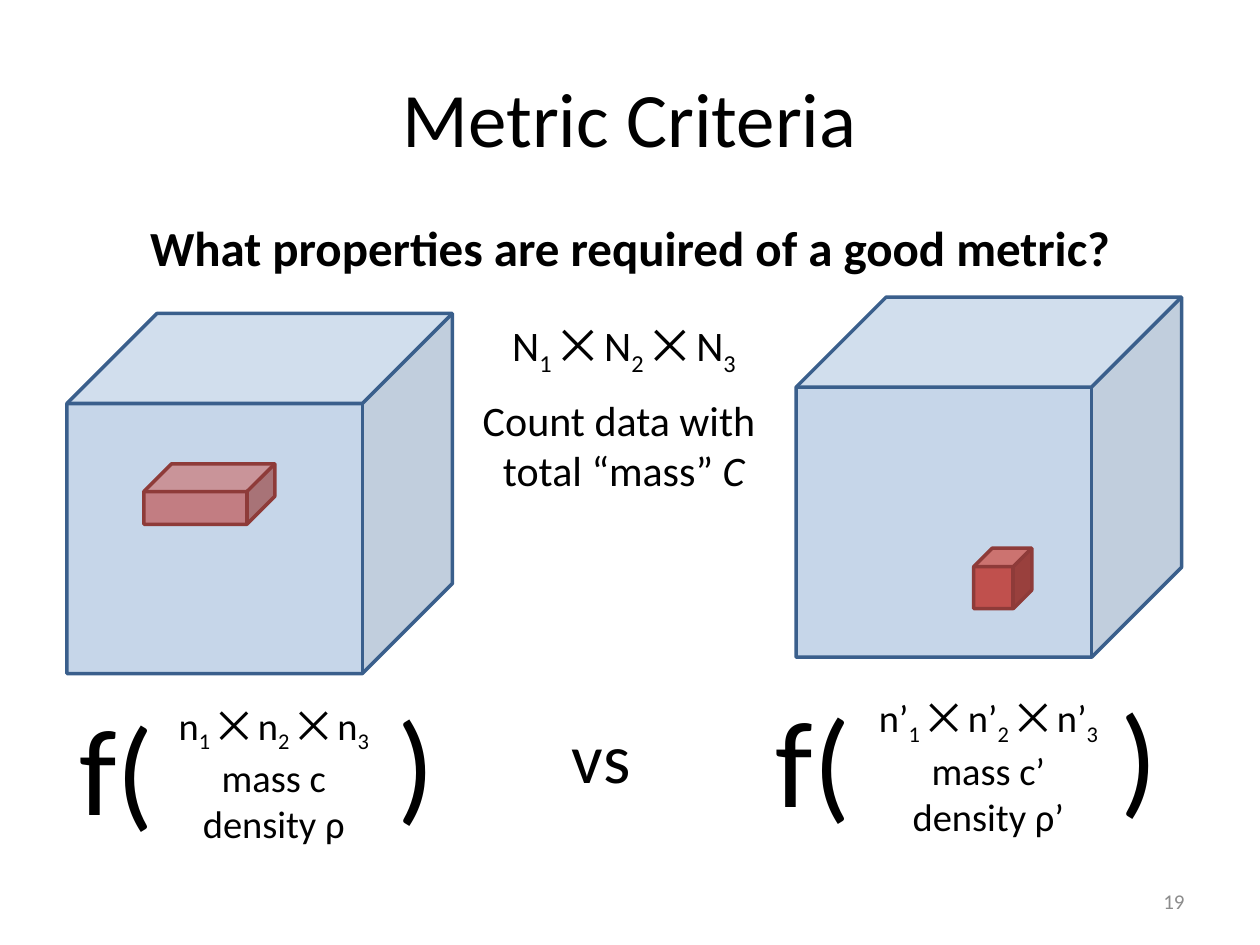
"""Build the Metric Criteria slide: two data cubes and their compared scores."""
from dataclasses import dataclass

from lxml.etree import SubElement
from pptx import Presentation
from pptx.dml.color import RGBColor
from pptx.enum.shapes import MSO_SHAPE as Kind
from pptx.enum.text import MSO_ANCHOR as Anchor, MSO_AUTO_SIZE as Fit, PP_ALIGN as Align
from pptx.oxml.ns import qn
from pptx.util import Cm, Pt

FONT = "Calibri"
INK = {
    "text": "000000",
    "page": "8C8C8C",
    "blue": "4F81BD",
    "navy": "3A5F8C",
    "red": "C0504D",
    "wine": "8E3B39",
}


@dataclass
class Cube:
    box: tuple
    fill: str
    edge: str
    alpha: int = 100
    depth: float = 0.25


@dataclass
class Label:
    box: tuple
    lines: tuple
    size: int
    align: Align = Align.CENTER
    wrap: bool = True
    bold: bool = False
    ink: str = "text"
    anchor: Anchor = Anchor.TOP
    tail: str = ""
    fit: Fit = Fit.SHAPE_TO_FIT_TEXT


CUBES = [
    Cube((1.35, 6.32, 7.77, 7.26), "blue", "navy", 32),
    Cube((16.05, 5.99, 7.77, 7.26), "blue", "navy", 32),
    Cube((2.9, 9.35, 2.64, 1.22), "red", "wine", 66, 0.46),
    Cube((19.63, 11.05, 1.17, 1.22), "red", "wine", depth=0.32),
]


def score(mark: str, open_at: tuple, mid: tuple, close_at: tuple) -> list:
    """Return the labels of one f( ... ) score."""
    dims = " ⨉ ".join(f"n{mark}_{i}" for i in (1, 2, 3))
    lines = (dims, f"mass c{mark}", f"density ρ{mark}")
    return [
        Label(mid, lines, 22, wrap=False),
        Label((*open_at, 2.03, 3.25), ("f(",), 70, Align.LEFT, False),
        Label((*close_at, 1.27, 3.25), (")",), 70, Align.LEFT, False),
    ]


LABELS = [
    Label((18.21, 17.65, 5.92, 1.02), ("19",), 12, Align.RIGHT, ink="page",
          anchor=Anchor.MIDDLE, fit=Fit.NONE),
    Label((1.27, 4.27, 22.86, 1.8), ("What properties are required of a good metric?",),
          28, bold=True, fit=Fit.NONE),
    Label((9.53, 6.32, 6.1, 1.27), ("N_1 ⨉ N_2 ⨉ N_3",), 24),
    Label((9.3, 7.82, 6.55, 2.31), ("Count data with \vtotal “mass” ",), 24, tail="C"),
    *score("", (1.35, 13.84), (3.12, 14.02, 4.8, 3.07), (7.77, 13.72)),
    *score("’", (15.39, 13.69), (17.27, 13.87, 5.31, 3.07), (22.33, 13.59)),
    Label((11.28, 14.25, 2.13, 1.96), ("vs",), 40, Align.LEFT),
]


def tint(name: str) -> RGBColor:
    """Look up a named colour."""
    return RGBColor.from_string(INK[name])


def style(para, size: int, ink: str, align: Align, bold: bool = False) -> None:
    """Set the font and alignment of a paragraph."""
    para.alignment = align
    font = para.font
    font.name, font.size, font.bold = FONT, Pt(size), bold
    font.color.rgb = tint(ink)


def write(para, line: str) -> None:
    """Fill a paragraph; the character after each underscore is a subscript."""
    head, *rest = line.split("_")
    para.text = head
    for part in rest:
        sub = para.add_run()
        sub.text = part[0]
        sub.font._element.set("baseline", "-25000")
        if part[1:]:
            para.add_run().text = part[1:]


def draw_cube(slide, cube: Cube) -> None:
    """Draw a cube with its edge and transparency."""
    shape = slide.shapes.add_shape(Kind.CUBE, *map(Cm, cube.box))
    shape.shadow.inherit = False
    shape.adjustments[0] = cube.depth
    shape.fill.solid()
    shape.fill.fore_color.rgb = tint(cube.fill)
    shape.line.color.rgb = tint(cube.edge)
    shape.line.width = Pt(2)
    if cube.alpha < 100:
        color = shape._element.spPr.find(qn("a:solidFill"))[0]
        SubElement(color, qn("a:alpha")).set("val", str(cube.alpha * 1000))


def draw_label(slide, label: Label) -> None:
    """Draw a text box."""
    frame = slide.shapes.add_textbox(*map(Cm, label.box)).text_frame
    frame.word_wrap = label.wrap
    frame.auto_size = label.fit
    frame.vertical_anchor = label.anchor
    for i, line in enumerate(label.lines):
        para = frame.add_paragraph() if i else frame.paragraphs[0]
        write(para, line)
        style(para, label.size, label.ink, label.align, label.bold)
    if label.tail:
        run = para.add_run()
        run.text = label.tail
        run.font.italic = True


def main() -> None:
    """Build and save the slide."""
    deck = Presentation()
    deck.slide_width, deck.slide_height = Cm(25.4), Cm(19.05)
    slide = deck.slides.add_slide(deck.slide_layouts[5])
    title = slide.shapes.title
    title.left, title.top, title.width, title.height = map(Cm, (1.27, 0.76, 22.86, 3.18))
    title.text_frame.text = "Metric Criteria"
    title.text_frame.vertical_anchor = Anchor.MIDDLE
    style(title.text_frame.paragraphs[0], 44, "text", Align.CENTER)
    for cube in CUBES:
        draw_cube(slide, cube)
    for label in LABELS:
        draw_label(slide, label)
    deck.save("out.pptx")


if __name__ == "__main__":
    main()
